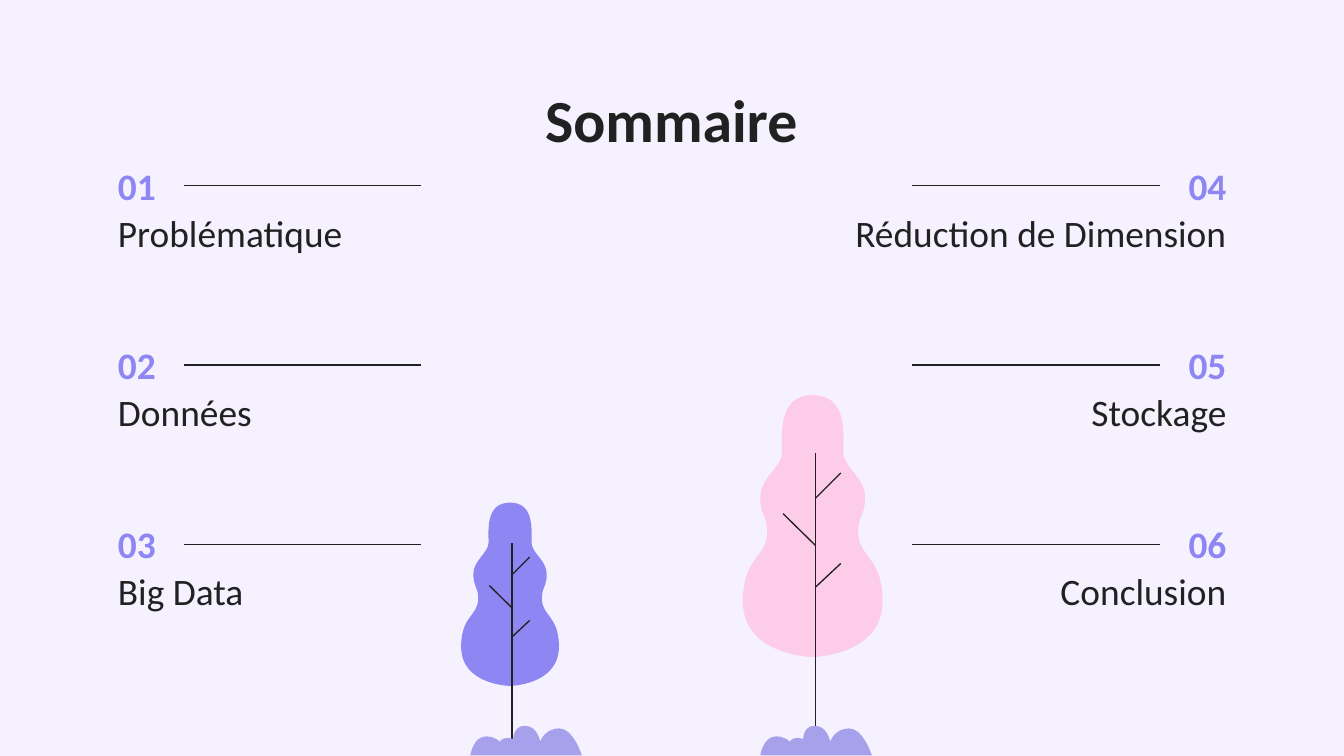
"""Build the agenda slide: six numbered entries and two trees."""
from dataclasses import dataclass

from lxml.etree import SubElement
from pptx import Presentation
from pptx.dml.color import RGBColor as Rgb
from pptx.enum.shapes import MSO_CONNECTOR as Conn
from pptx.enum.text import MSO_ANCHOR as Anchor, MSO_AUTO_SIZE as Fit, PP_ALIGN as Align
from pptx.oxml.ns import qn
from pptx.util import Cm, Pt


@dataclass(frozen=True)
class Theme:
    """Hold the colours, font and type sizes."""
    back: Rgb = Rgb.from_string("F5F1FF")
    ink: Rgb = Rgb.from_string("212121")
    violet: Rgb = Rgb.from_string("8E86F3")
    pink: Rgb = Rgb.from_string("FCCCE9")
    lilac: Rgb = Rgb.from_string("A7A1EB")
    font: str = "Calibri"
    head: int = 32
    body: int = 20


THEME = Theme()
PITCH = 3.38
LEFT = (("Problématique", 6.73), ("Données", 6.73), ("Big Data", 6.73))
RIGHT = (("Réduction de Dimension", 9.06), ("Stockage", 6.73), ("Conclusion", 6.73))
CROWN = (
    ((0.66, 0), (0.58, 0.74), (0.58, 1.07)),
    ((0.58, 1.37), (0.99, 1.55), (0.99, 1.93)),
    ((0.99, 2.29), (0.86, 2.26), (0.86, 2.59)),
    ((0.86, 3.07), (1.32, 3.05), (1.32, 3.89)),
    ((1.32, 4.93), (0, 4.95), (0, 4.95)),
)
TWIGS = (
    ((0.53, 1.47), (0.05, 1.95)),
    ((0.53, 3.18), (0.05, 3.63)),
    ((-0.56, 2.24), (0.05, 2.84)),
)
BUSH = (
    ((0.81, 0), (0.81, 0.25), (0.81, 0.25)),
    ((0.81, 0.25), (0.76, 0.23), (0.69, 0.23)),
    ((0.66, 0.23), (0.58, 0.25), (0.56, 0.3)),
    ((0.56, 0.3), (0.46, 0.2), (0.3, 0.2)),
    ((0.05, 0.2), (0, 0.56), (0, 0.56)),
    ((2.11, 0.56),),
    ((2.08, 0.48), (1.93, 0.05), (1.68, 0.05)),
    ((1.4, 0.05), (1.32, 0.3), (1.32, 0.3)),
    ((1.32, 0.3), (1.27, 0), (1.03, 0)),
)


def mirror(start, curves):
    """Return the curves followed by their reflection back to the start."""
    heads = [start] + [curve[-1] for curve in curves[:-1]]
    back = [
        tuple((-x, y) for x, y in (two, one, head))
        for head, (one, two, _) in zip(heads, curves)
    ]
    return list(curves) + back[::-1]


def add_blob(shapes, start, curves, place, fill):
    """Draw a filled outline of cubic curves and straight lines."""
    left, top, scale = place

    def spot(point):
        """Return a point in slide units."""
        return Cm(left + point[0] * scale), Cm(top + point[1] * scale)

    pen = shapes.build_freeform(*spot(start))
    pen.add_line_segments([spot(curve[-1]) for curve in curves], close=False)
    blob = pen.convert_to_shape()
    trail = blob._element.find(".//" + qn("a:path"))
    for step, curve in zip(trail.findall(qn("a:lnTo")), curves):
        if len(curve) == 3:
            bend = trail.makeelement(qn("a:cubicBezTo"))
            for x, y in map(spot, curve):
                SubElement(bend, qn("a:pt"), x=str(x - blob.left), y=str(y - blob.top))
            trail.replace(step, bend)
    SubElement(trail, qn("a:close"))
    blob.shadow.inherit = False
    blob.fill.solid()
    blob.fill.fore_color.rgb = fill
    blob.line.fill.background()


def add_rule(shapes, start, end, width=0.75):
    """Draw a thin straight line."""
    rule = shapes.add_connector(Conn.STRAIGHT, *map(Cm, start + end))
    rule.line.color.rgb = THEME.ink
    rule.line.width = Pt(width)
    SubElement(rule._element.spPr, qn("a:effectLst"))


def add_tree(shapes, place, fill):
    """Draw a crown, trunk and twigs as one group."""
    left, top, scale = place
    parts = shapes.add_group_shape().shapes
    add_blob(parts, (0, 0), mirror((0, 0), CROWN), place, fill)
    trunk = left + 0.05 * scale
    add_rule(parts, (trunk, top + 1.09 * scale), (trunk, 14.25), 0.72)
    for twig in TWIGS:
        ends = [(left + x * scale, top + y * scale) for x, y in twig]
        add_rule(parts, *ends, 0.72)


def fill_text(shape, text, size, color, align, bold=False):
    """Write one formatted line, centred in height."""
    frame = shape.text_frame
    frame.word_wrap = True
    frame.auto_size = Fit.NONE
    frame.vertical_anchor = Anchor.MIDDLE
    frame.margin_left = frame.margin_right = Cm(0.25)
    frame.margin_top = frame.margin_bottom = Cm(0.25)
    para = frame.paragraphs[0]
    para.alignment = align
    run = para.add_run()
    run.text = text
    font = run.font
    font.name, font.size, font.bold = THEME.font, Pt(size), bold
    font.color.rgb = color


def add_label(shapes, box, text, color, align, bold=False):
    """Add a text box with one line."""
    label = shapes.add_textbox(*map(Cm, box))
    fill_text(label, text, THEME.body, color, align, bold)


def add_list(shapes, items, first, align):
    """Add one column of numbers, names and rules."""
    right = align == Align.RIGHT
    edge = 23.43 if right else 1.98
    ends = (17.24, 21.92) if right else (3.48, 7.95)
    for row, (name, width) in enumerate(items):
        y = 3.07 + row * PITCH
        spot = edge - 1.5 if right else edge
        add_label(shapes, (spot, y, 1.5, 0.89), f"{first + row:02}",
                  THEME.violet, align, True)
        spot = edge - width if right else edge
        add_label(shapes, (spot, y + 0.88, width, 0.89), name, THEME.ink, align)
        level = 3.51 + row * 3.39
        add_rule(shapes, (ends[0], level), (ends[1], level))


def main():
    """Build and save the slide."""
    deck = Presentation()
    deck.slide_width, deck.slide_height = Cm(25.4), Cm(14.29)
    slide = deck.slides.add_slide(deck.slide_layouts[5])
    slide.background.fill.solid()
    slide.background.fill.fore_color.rgb = THEME.back
    shapes = slide.shapes

    title = shapes.title
    title.left, title.top, title.width, title.height = map(Cm, (1.97, 1.5, 21.44, 1.5))
    fill_text(title, "Sommaire", THEME.head, THEME.ink, Align.CENTER, True)

    add_tree(shapes, (9.64, 9.5, 0.7), THEME.violet)
    add_tree(shapes, (15.36, 7.47, 1), THEME.pink)
    add_list(shapes, LEFT, 1, Align.LEFT)
    add_list(shapes, RIGHT, 4, Align.RIGHT)
    for x in (8.89, 14.37):
        add_blob(shapes, (1.03, 0), BUSH, (x, 13.72, 1), THEME.lilac)
    deck.save("out.pptx")


if __name__ == "__main__":
    main()
